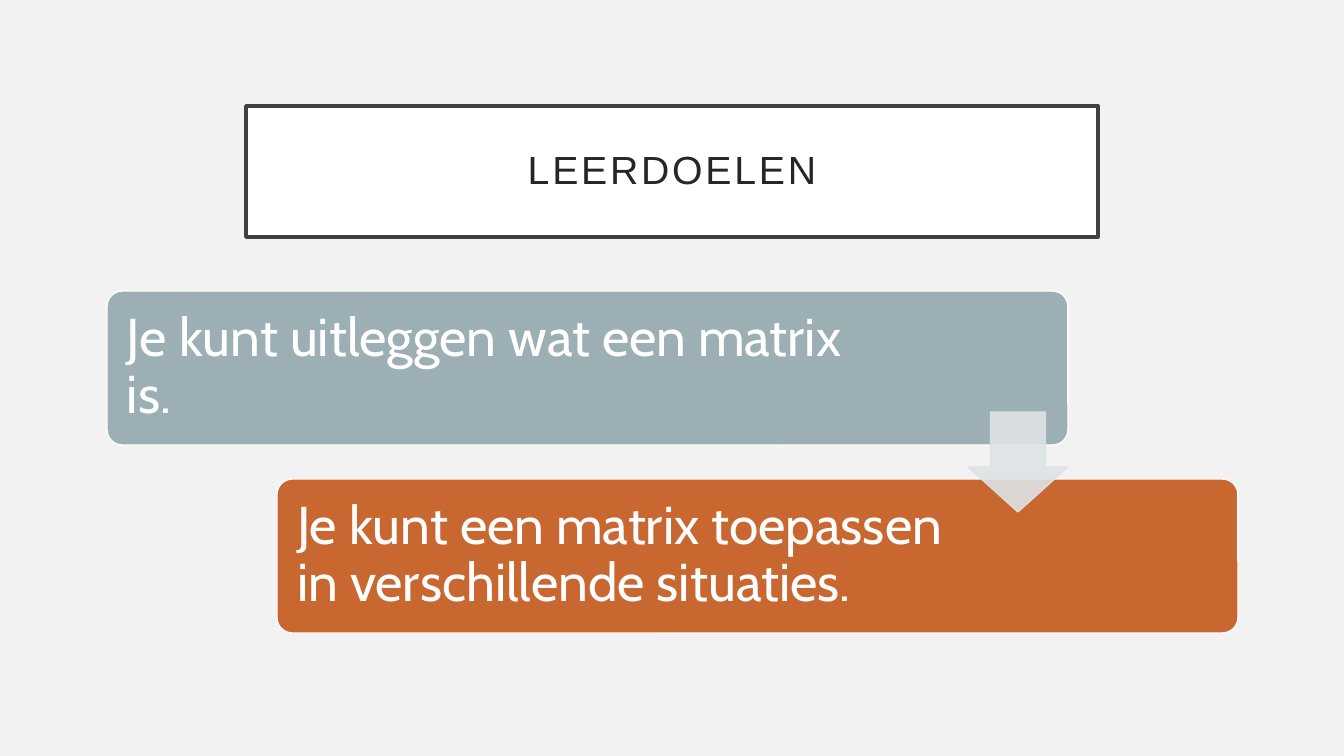
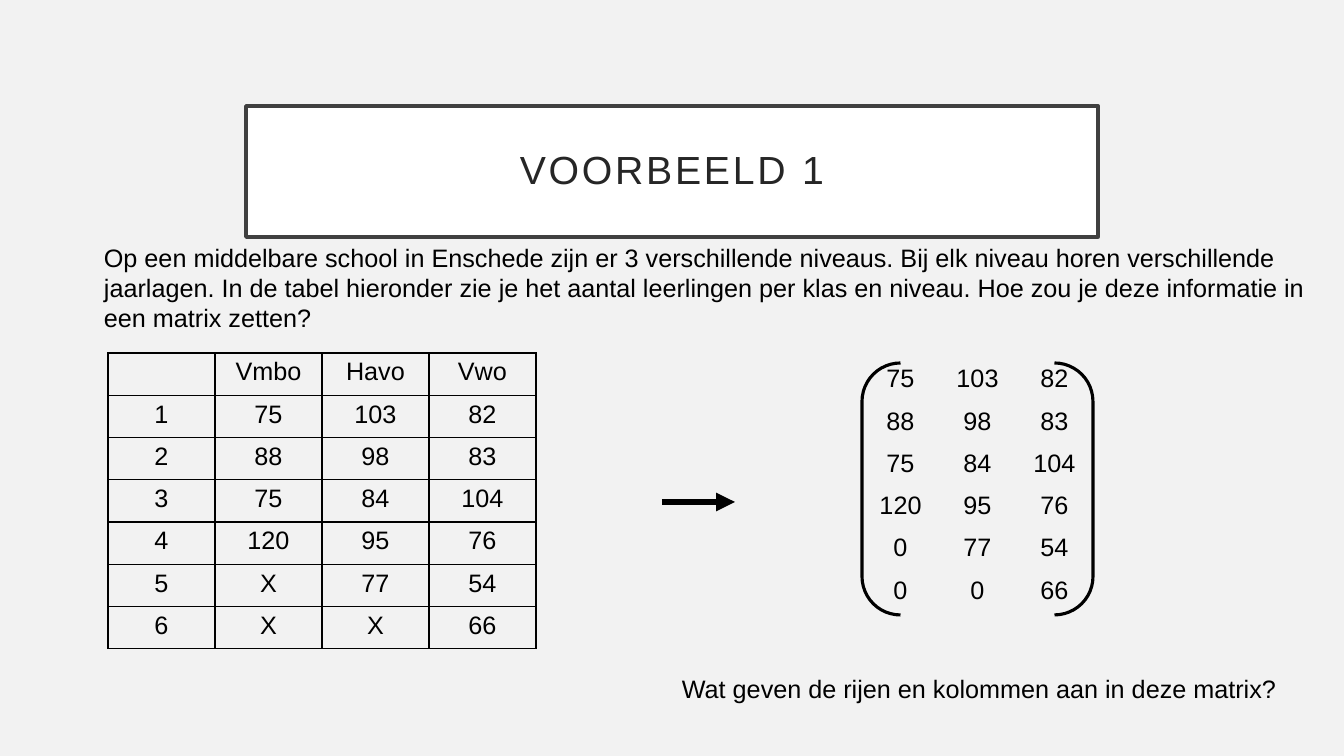
"""Build two slides on matrices: the learning goals and a first example."""
from lxml.etree import SubElement
from pptx import Presentation
from pptx.dml.color import RGBColor as RGB
from pptx.enum.shapes import MSO_CONNECTOR as LINE, MSO_SHAPE as SHAPE
from pptx.enum.text import MSO_ANCHOR as ANCHOR, PP_ALIGN as ALIGN
from pptx.oxml.ns import qn
from pptx.util import Pt

SCALE = 12192000 / 1344
BACK = RGB(0xF2, 0xF2, 0xF2)
WHITE = RGB(0xFF, 0xFF, 0xFF)
BLACK = RGB(0, 0, 0)
FRAME = RGB(0x40, 0x40, 0x40)
INK = RGB(0x26, 0x26, 0x26)
BLUE = RGB(0x9B, 0xAF, 0xB5)
RUST = RGB(0xC9, 0x67, 0x31)
PALE = RGB(0xDE, 0xE3, 0xE5)

TITLES = ["LEERDOELEN", "VOORBEELD 1"]
GOALS = [
    ("Je kunt uitleggen wat een matrix is.", BLUE, 802),
    ("Je kunt een matrix toepassen in verschillende situaties.", RUST, 682),
]
STORY = (
    "Op een middelbare school in Enschede zijn er 3 verschillende niveaus. "
    "Bij elk niveau horen verschillende jaarlagen. In de tabel hieronder zie je "
    "het aantal leerlingen per klas en niveau. Hoe zou je deze informatie in een "
    "matrix zetten?"
)
ASK = "Wat geven de rijen en kolommen aan in deze matrix?"
LEVELS = ["Vmbo", "Havo", "Vwo"]
COUNTS = [
    ["75", "103", "82"],
    ["88", "98", "83"],
    ["75", "84", "104"],
    ["120", "95", "76"],
    ["X", "77", "54"],
    ["X", "X", "66"],
]


def px(*sizes):
    return [round(size * SCALE) for size in sizes]


def style(par, size, color, face="Arial", align=ALIGN.LEFT):
    par.alignment = align
    par.font.size = Pt(size)
    par.font.name = face
    par.font.color.rgb = color


def add_text(slide, box, text, size, color, face="Arial", wrap=True):
    frame = slide.shapes.add_textbox(*px(*box)).text_frame
    frame.word_wrap = wrap
    frame.text = text
    style(frame.paragraphs[0], size, color, face)
    return frame


def add_shape(slide, kind, box, fill, line, width):
    shape = slide.shapes.add_shape(kind, *px(*box))
    shape.shadow.inherit = False
    if fill is None:
        shape.fill.background()
    else:
        shape.fill.solid()
        shape.fill.fore_color.rgb = fill
    shape.line.color.rgb = line
    shape.line.width = Pt(width)
    return shape


def set_pad(frame, pad):
    frame.vertical_anchor = ANCHOR.MIDDLE
    frame.margin_left, frame.margin_right = px(pad, pad)
    frame.margin_top, frame.margin_bottom = px(pad, pad)


def add_slide(deck, title):
    slide = deck.slides.add_slide(deck.slide_layouts[6])
    slide.background.fill.solid()
    slide.background.fill.fore_color.rgb = BACK
    frame = add_shape(slide, SHAPE.RECTANGLE, (246, 106, 852, 131),
                      WHITE, FRAME, 2.5).text_frame
    set_pad(frame, 20)
    frame.text = title
    par = frame.paragraphs[0]
    style(par, 28, INK, align=ALIGN.CENTER)
    par.line_spacing = 0.9
    par.runs[0].font._element.set("spc", "200")
    return slide


def set_edges(cell, color):
    props = cell._tc.get_or_add_tcPr()
    for spot, side in enumerate(("lnL", "lnR", "lnT", "lnB")):
        edge = SubElement(props, qn(f"a:{side}"), w=str(Pt(1)))
        props.insert(spot, edge)
        if color is None:
            SubElement(edge, qn("a:noFill"))
        else:
            fill = SubElement(edge, qn("a:solidFill"))
            SubElement(fill, qn("a:srgbClr"), val=str(color))


def add_grid(slide, rows, left, top, wide, high, edge=None):
    box = px(left, top, wide * len(rows[0]), high * len(rows))
    table = slide.shapes.add_table(len(rows), len(rows[0]), *box).table
    table.first_row = table.horz_banding = False
    for col in table.columns:
        col.width = px(wide)[0]
    for r, row in enumerate(rows):
        table.rows[r].height = px(high)[0]
        for c, text in enumerate(row):
            cell = table.cell(r, c)
            cell.fill.background()
            set_edges(cell, edge)
            cell.text = text
            style(cell.text_frame.paragraphs[0], 18, BLACK, align=ALIGN.CENTER)


def add_goals(slide):
    for i, (text, color, wide) in enumerate(GOALS):
        left, top = 107 + 170 * i, 291 + 188 * i
        card = add_shape(slide, SHAPE.ROUNDED_RECTANGLE, (left, top, 961, 154),
                         color, WHITE, 1)
        card.adjustments[0] = 0.1
        frame = add_text(slide, (left + 4, top + 4, wide, 146), text, 38, WHITE, "Cabin")
        set_pad(frame, 16)
        frame.paragraphs[0].line_spacing = 0.9
    arrow = add_shape(slide, SHAPE.DOWN_ARROW, (968, 412, 100, 100), PALE, PALE, 1)
    arrow.adjustments[0], arrow.adjustments[1] = 0.55, 0.45
    for tint in arrow._element.spPr.iter(qn("a:srgbClr")):
        SubElement(tint, qn("a:alpha"), val="90000")


def add_case(slide):
    full = [["", *LEVELS]] + [[str(n), *row] for n, row in enumerate(COUNTS, 1)]
    matrix = [["0" if item == "X" else item for item in row] for row in COUNTS]
    add_grid(slide, full, 108, 353, 107, 42.3, BLACK)
    add_text(slide, (94, 237, 1236, 102), STORY, 18, BLACK)
    arrow = slide.shapes.add_connector(LINE.STRAIGHT, *px(662, 502, 735, 502))
    arrow.line.color.rgb = BLACK
    arrow.line.width = Pt(4.5)
    SubElement(arrow.line._get_or_add_ln(), qn("a:tailEnd"), type="triangle")
    SubElement(arrow._element.spPr, qn("a:effectLst"))
    add_grid(slide, matrix, 862, 360, 77, 42.3)
    add_shape(slide, SHAPE.DOUBLE_BRACKET, (862, 363, 231, 252), None, BLACK, 2.25)
    add_text(slide, (672, 668, 620, 40), ASK, 18, BLACK, wrap=False)


def main():
    deck = Presentation()
    deck.slide_width, deck.slide_height = px(1344, 756)
    for title, fill in zip(TITLES, (add_goals, add_case)):
        fill(add_slide(deck, title))
    deck.save("out.pptx")


if __name__ == "__main__":
    main()
